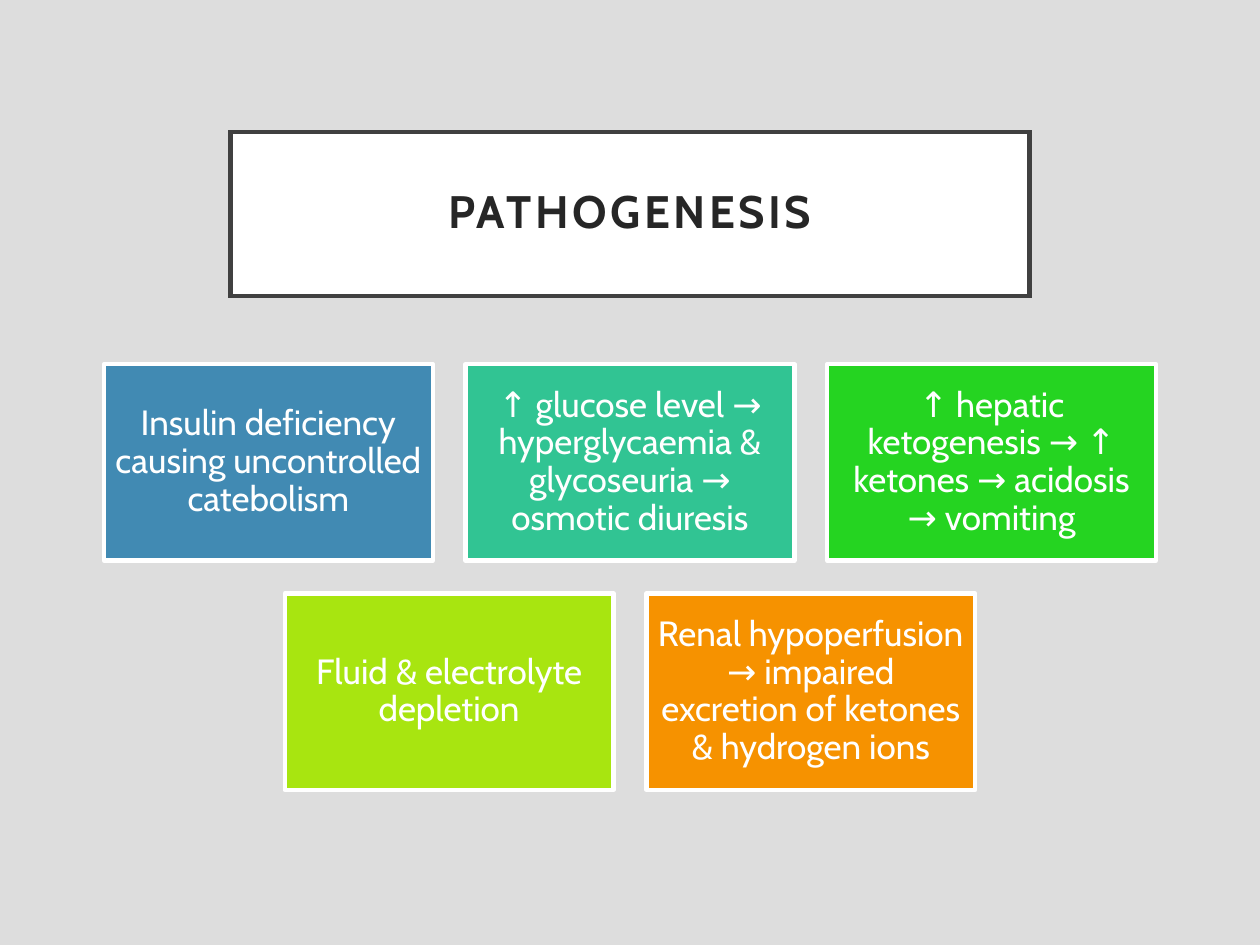
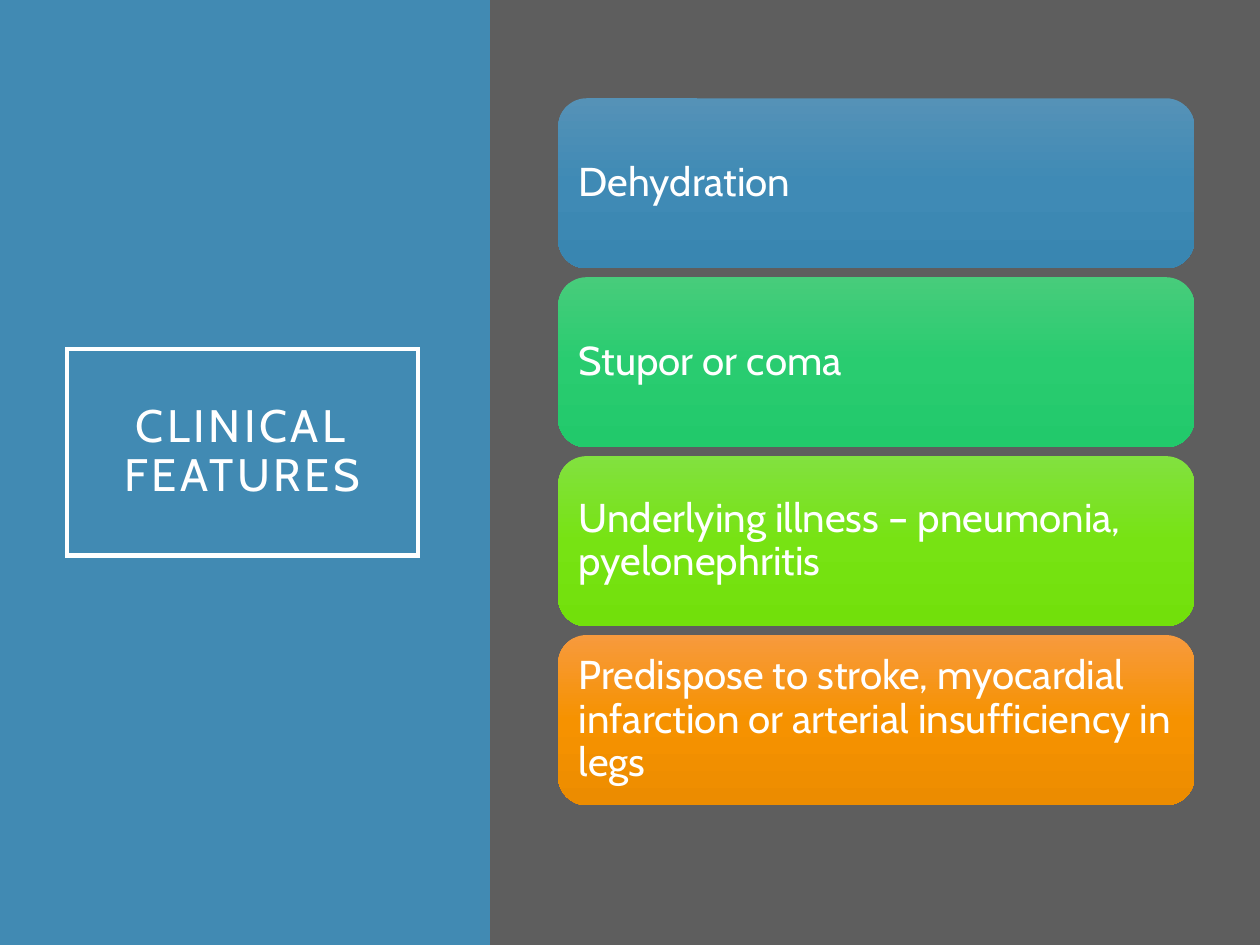
"""Build two slides on pathogenesis and clinical features."""
from copy import deepcopy
from dataclasses import dataclass

from lxml import etree
from pptx import Presentation
from pptx.dml.color import RGBColor
from pptx.enum.shapes import MSO_SHAPE
from pptx.enum.text import MSO_ANCHOR, MSO_AUTO_SIZE, PP_ALIGN
from pptx.oxml.ns import qn
from pptx.shapes.autoshape import Shape
from pptx.slide import Slide
from pptx.util import Inches, Pt

RECTANGLE = MSO_SHAPE.RECTANGLE
ROUNDED = MSO_SHAPE.ROUNDED_RECTANGLE
MIDDLE = MSO_ANCHOR.MIDDLE
NO_AUTOFIT = MSO_AUTO_SIZE.NONE
CENTER = PP_ALIGN.CENTER
LEFT = PP_ALIGN.LEFT

WHITE = RGBColor(0xFF, 0xFF, 0xFF)
LIGHT_GREY = RGBColor(0xDD, 0xDD, 0xDD)
DARK_GREY = RGBColor(0x5E, 0x5E, 0x5E)
FRAME_GREY = RGBColor(0x40, 0x40, 0x40)
INK = RGBColor(0x26, 0x26, 0x26)
BLUE = RGBColor(0x41, 0x8A, 0xB3)
TEAL = RGBColor(0x31, 0xC4, 0x93)
GREEN = RGBColor(0x25, 0xD4, 0x21)
LIME = RGBColor(0xA8, 0xE5, 0x10)
ORANGE = RGBColor(0xF6, 0x92, 0x00)
BLUE_FADE = (RGBColor(0x55, 0x92, 0xB7), RGBColor(0x3F, 0x8A, 0xB5), RGBColor(0x39, 0x86, 0xB1))
GREEN_FADE = (RGBColor(0x47, 0xCC, 0x7B), RGBColor(0x29, 0xCC, 0x70), RGBColor(0x22, 0xC9, 0x6B))
LIME_FADE = (RGBColor(0x82, 0xE1, 0x3F), RGBColor(0x77, 0xE3, 0x13), RGBColor(0x72, 0xE0, 0x0B))
ORANGE_FADE = (RGBColor(0xF7, 0x9A, 0x3D), ORANGE, RGBColor(0xEC, 0x8C, 0x00))

FONT = "Cabin"
FRAME_WIDTH = Pt(2.5)
SLIDE_WIDTH, SLIDE_HEIGHT = 10, 7.5
CARD_WIDTH, CARD_HEIGHT, CARD_GAP = 2.61, 1.56, 0.26
CARDS_TOP = 2.89
BAR_LEFT, BAR_TOP, BAR_WIDTH, BAR_HEIGHT, BAR_GAP = 4.43, 0.78, 5.05, 1.35, 0.07
PANEL_WIDTH = 3.89


@dataclass(frozen=True)
class Box:
    """A place on the slide, in inches."""
    left: float
    top: float
    width: float
    height: float

    def lengths(self) -> list:
        """Return the four values as lengths."""
        return [Inches(v) for v in (self.left, self.top, self.width, self.height)]


@dataclass(frozen=True)
class Card:
    """A step of the pathogenesis."""
    text: str
    color: RGBColor


@dataclass(frozen=True)
class Bar:
    """A clinical feature with its top, middle and bottom colours."""
    text: str
    fade: tuple


CARD_ROWS = (
    (
        Card("Insulin deficiency causing uncontrolled catebolism", BLUE),
        Card("↑ glucose level → hyperglycaemia & glycoseuria → osmotic diuresis", TEAL),
        Card("↑ hepatic ketogenesis → ↑ ketones → acidosis → vomiting", GREEN),
    ),
    (
        Card("Fluid & electrolyte depletion", LIME),
        Card("Renal hypoperfusion → impaired excretion of ketones & hydrogen ions", ORANGE),
    ),
)
BARS = (
    Bar("Dehydration", BLUE_FADE),
    Bar("Stupor or coma", GREEN_FADE),
    Bar("Underlying illness – pneumonia, pyelonephritis", LIME_FADE),
    Bar("Predispose to stroke, myocardial infarction or arterial insufficiency in legs", ORANGE_FADE),
)


def write(shape: Shape, text: str, size: float, color: RGBColor, inset: float,
          align: PP_ALIGN = CENTER, bold: bool = False) -> None:
    """Put one formatted paragraph into a shape."""
    frame = shape.text_frame
    frame.text = text
    frame.word_wrap = True
    frame.auto_size = NO_AUTOFIT
    frame.vertical_anchor = MIDDLE
    frame.margin_left = frame.margin_right = Inches(inset)
    frame.margin_top = frame.margin_bottom = Inches(inset)
    paragraph = frame.paragraphs[0]
    paragraph.alignment = align
    paragraph.line_spacing = 0.9
    font = paragraph.font
    font.name, font.size, font.bold = FONT, Pt(size), bold
    font.color.rgb = color


def add_block(slide: Slide, kind: MSO_SHAPE, box: Box) -> Shape:
    """Add a shape without line or shadow."""
    block = slide.shapes.add_shape(kind, *box.lengths())
    block.shadow.inherit = False
    block.line.fill.background()
    return block


def set_frame(shape: Shape, color: RGBColor) -> None:
    """Outline a shape with the shared frame width."""
    shape.line.color.rgb = color
    shape.line.width = FRAME_WIDTH


def add_panel(slide: Slide, box: Box, color: RGBColor) -> None:
    """Add a plain colour panel behind the title."""
    panel = add_block(slide, RECTANGLE, box)
    panel.fill.solid()
    panel.fill.fore_color.rgb = color
    slide.shapes.title.element.addprevious(panel.element)


def add_titled_slide(deck: Presentation, background: RGBColor, title: str, box: Box,
                     ink: RGBColor, frame: RGBColor, bold: bool = False) -> Slide:
    """Add a title-only slide with a framed, letter-spaced title."""
    slide = deck.slides.add_slide(deck.slide_layouts[5])
    slide.background.fill.solid()
    slide.background.fill.fore_color.rgb = background
    heading = slide.shapes.title
    heading.left, heading.top, heading.width, heading.height = box.lengths()
    write(heading, title, 26, ink, 0.2, bold=bold)
    for properties in heading.element.iter(qn("a:defRPr")):
        properties.set("spc", "200")
    set_frame(heading, frame)
    outline = heading.element.spPr.find(qn("a:ln"))
    etree.SubElement(outline, qn("a:miter")).set("lim", "800000")
    return slide


def add_card(slide: Slide, card: Card, box: Box) -> None:
    """Add one white-framed card."""
    block = add_block(slide, RECTANGLE, box)
    block.fill.solid()
    block.fill.fore_color.rgb = card.color
    set_frame(block, WHITE)
    write(block, card.text, 20, WHITE, 0.08)


def add_bar(slide: Slide, bar: Bar, box: Box) -> None:
    """Add one rounded bar that fades from top to bottom."""
    block = add_block(slide, ROUNDED, box)
    block.fill.gradient()
    block.fill.gradient_angle = 270
    stop_list = block.element.spPr.find(qn("a:gradFill")).find(qn("a:gsLst"))
    stop_list.append(deepcopy(stop_list[-1]))
    for stop, position, color in zip(block.fill.gradient_stops, (0, 0.5, 1), bar.fade):
        stop.position = position
        stop.color.rgb = color
    write(block, bar.text, 23, WHITE, 0.16 - 0.06, LEFT)


def build_pathogenesis(deck: Presentation) -> None:
    """Build the slide of cards in centred rows."""
    slide = add_titled_slide(deck, LIGHT_GREY, "PATHOGENESIS", Box(1.83, 1.05, 6.34, 1.3),
                             INK, FRAME_GREY, bold=True)
    slide.shapes.title.fill.solid()
    slide.shapes.title.fill.fore_color.rgb = WHITE
    pitch = CARD_WIDTH + CARD_GAP
    for row, cards in enumerate(CARD_ROWS):
        left = (SLIDE_WIDTH - len(cards) * pitch + CARD_GAP) / 2
        top = CARDS_TOP + row * (CARD_HEIGHT + CARD_GAP)
        for column, card in enumerate(cards):
            add_card(slide, card, Box(left + column * pitch, top, CARD_WIDTH, CARD_HEIGHT))


def build_clinical_features(deck: Presentation) -> None:
    """Build the slide with a title panel and a stack of bars."""
    slide = add_titled_slide(deck, DARK_GREY, "CLINICAL FEATURES", Box(0.53, 2.77, 2.79, 1.64),
                             WHITE, WHITE)
    add_panel(slide, Box(0, 0, PANEL_WIDTH, SLIDE_HEIGHT), BLUE)
    add_panel(slide, Box(PANEL_WIDTH, 0, SLIDE_WIDTH - PANEL_WIDTH, SLIDE_HEIGHT), DARK_GREY)
    for row, bar in enumerate(BARS):
        top = BAR_TOP + row * (BAR_HEIGHT + BAR_GAP)
        add_bar(slide, bar, Box(BAR_LEFT, top, BAR_WIDTH, BAR_HEIGHT))


def main() -> None:
    """Build and save the deck."""
    deck = Presentation()
    deck.slide_width, deck.slide_height = Inches(SLIDE_WIDTH), Inches(SLIDE_HEIGHT)
    build_pathogenesis(deck)
    build_clinical_features(deck)
    deck.save("out.pptx")


main()
